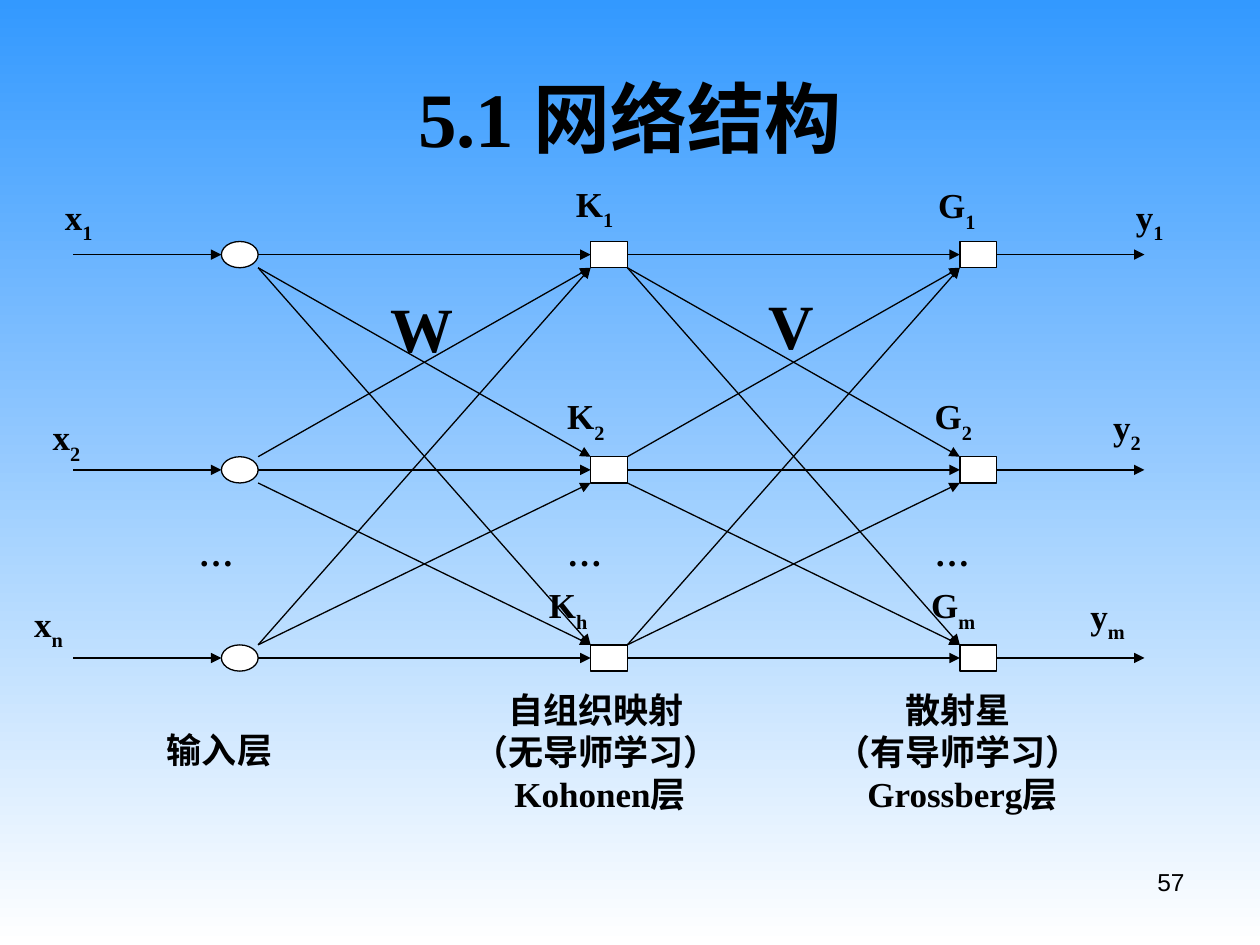
from itertools import product

from lxml import etree
from pptx import Presentation
from pptx import util as u
from pptx.dml.color import RGBColor
from pptx.enum import shapes, text
from pptx.oxml.ns import qn

COLOURS = {"sky": "3399FF", "white": "FFFFFF", "ink": "000000"}
SERIF, CJK, SANS = "Times New Roman", "Noto Sans CJK SC", "Arial"
NODE_W, NODE_H = 21, 15
COLUMNS = [126.5 + 211 * step for step in range(3)]
ROWS = [138, 261, 368.5]
INPUT_X, OUTPUT_X = 42, 654
LEFT, RIGHT = 1, 3


class NetworkSlide:
    """Style of the network diagram and the slide it is drawn on."""

    def __init__(self, slide):
        self.slide = slide

    def colour(self, name):
        return RGBColor.from_string(COLOURS[name])

    def background(self, top, bottom):
        fill = self.slide.background.fill
        fill.gradient()
        fill.gradient_angle = 270
        for stop, name in zip(fill.gradient_stops, (top, bottom)):
            stop.color.rgb = self.colour(name)

    def node(self, kind, x, y):
        node = self.slide.shapes.add_shape(kind, u.Pt(x), u.Pt(y), u.Pt(NODE_W), u.Pt(NODE_H))
        node.shadow.inherit = False
        node.fill.solid()
        node.fill.fore_color.rgb = self.colour("white")
        node.line.color.rgb = self.colour("ink")
        node.line.width = u.Pt(0.75)
        return node

    def arrow(self, start, end, source=None, target=None):
        arrow = self.slide.shapes.add_connector(
            shapes.MSO_CONNECTOR.STRAIGHT, *(u.Pt(v) for v in (*start, *end)))
        arrow.line.color.rgb = self.colour("ink")
        arrow.line.width = u.Pt(0.75)
        etree.SubElement(arrow.line._get_or_add_ln(), qn("a:tailEnd"), type="triangle")
        etree.SubElement(arrow._element.spPr, qn("a:effectLst"))
        if source is not None:
            arrow.begin_connect(source, RIGHT)
        if target is not None:
            arrow.end_connect(target, LEFT)

    def run(self, paragraph, words, size, font=SERIF, east=SERIF, bold=True, subscript=False):
        run = paragraph.add_run()
        run.text = words
        run.font.size = u.Pt(size)
        run.font.name = font
        run.font.bold = bold
        run.font.color.rgb = self.colour("ink")
        etree.SubElement(run._r.rPr, qn("a:ea"), typeface=east)
        if subscript:
            run._r.rPr.set("baseline", "-30000")

    def frame(self, x, y, width, height, wrap=False):
        box = self.slide.shapes.add_textbox(u.Pt(x), u.Pt(y), u.Pt(width), u.Pt(height))
        box.text_frame.word_wrap = wrap
        return box.text_frame

    def title(self, number, name):
        frame = self.frame(36, 21.6, 648, 90, wrap=True)
        frame.vertical_anchor = text.MSO_ANCHOR.MIDDLE
        heading = frame.paragraphs[0]
        heading.alignment = text.PP_ALIGN.CENTER
        self.run(heading, number, 44)
        self.run(heading, name, 44, CJK, CJK)

    def label(self, x, y, width, symbol, index="", size=20):
        label = self.frame(x, y, width, size * 1.8).paragraphs[0]
        self.run(label, symbol, size)
        if index:
            self.run(label, index, size, subscript=True)

    def caption(self, x, y, width, lines):
        frame = self.frame(x, y, width, 24 * len(lines) + 7.2)
        for order, line in enumerate(lines):
            paragraph = frame.add_paragraph() if order else frame.paragraphs[0]
            paragraph.alignment = text.PP_ALIGN.CENTER
            paragraph.line_spacing = u.Pt(24)
            self.run(paragraph, line, 20, east=CJK)

    def page_number(self, number):
        page = self.frame(516, 492, 168, 37.5, wrap=True).paragraphs[0]
        page.alignment = text.PP_ALIGN.RIGHT
        self.run(page, number, 14, SANS, bold=False)


def draw_network(network):
    kinds = [shapes.MSO_SHAPE.OVAL, shapes.MSO_SHAPE.RECTANGLE, shapes.MSO_SHAPE.RECTANGLE]
    layers = [[network.node(kind, x, y) for y in ROWS] for kind, x in zip(kinds, COLUMNS)]
    inputs, kohonen, grossberg = layers
    for row, y in enumerate(ROWS):
        middle = y + NODE_H / 2
        network.arrow((INPUT_X, middle), (COLUMNS[0], middle))
        network.arrow((COLUMNS[0] + NODE_W, middle), (COLUMNS[1], middle), target=kohonen[row])
        network.arrow((COLUMNS[1] + NODE_W, middle), (COLUMNS[2], middle),
                      kohonen[row], grossberg[row])
        network.arrow((COLUMNS[2] + NODE_W, middle), (OUTPUT_X, middle), grossberg[row])
    for (x, next_x), y, next_y in product(zip(COLUMNS, COLUMNS[1:]), ROWS, ROWS):
        if y < next_y:
            network.arrow((x + NODE_W, y + NODE_H), (next_x, next_y))
        elif y > next_y:
            network.arrow((x + NODE_W, y), (next_x, next_y + NODE_H))


def main():
    deck = Presentation()
    deck.slide_width, deck.slide_height = u.Pt(720), u.Pt(540)
    network = NetworkSlide(deck.slides.add_slide(deck.slide_layouts[6]))
    network.background("sky", "white")
    network.title("5.1 ", "网络结构")
    draw_network(network)

    unit_labels = [
        (30, 108, 32, "x", "1"), (23, 234, 32, "x", "2"), (12.5, 340.5, 33, "x", "n"),
        (317, 100.5, 45, " K", "1"), (317, 222, 40, "K", "2"), (306.5, 330, 40, "K", "h"),
        (529, 101.5, 40, "G", "1"), (527, 222, 40, "G", "2"), (525, 330, 44, "G", "m"),
        (642, 108, 32, "y", "1"), (629, 228, 32, "y", "2"), (616, 336, 37, "y", "m"),
    ]
    for x, y, width, symbol, index in unit_labels:
        network.label(x, y, width, symbol, index)
    for x in (106.5, 317, 527):
        network.label(x, 300, 36, "…")
    network.label(216, 162, 52, "W", size=36)
    network.label(432, 160, 43, "V", size=36)

    network.caption(85.5, 412.5, 80, ["输入层"])
    network.caption(263, 390, 155, ["自组织映射", "（无导师学习）", " Kohonen层"])
    network.caption(470, 390, 155, ["散射星", "（有导师学习）", " Grossberg层"])
    network.page_number("57")
    deck.save("out.pptx")


if __name__ == "__main__":
    main()
